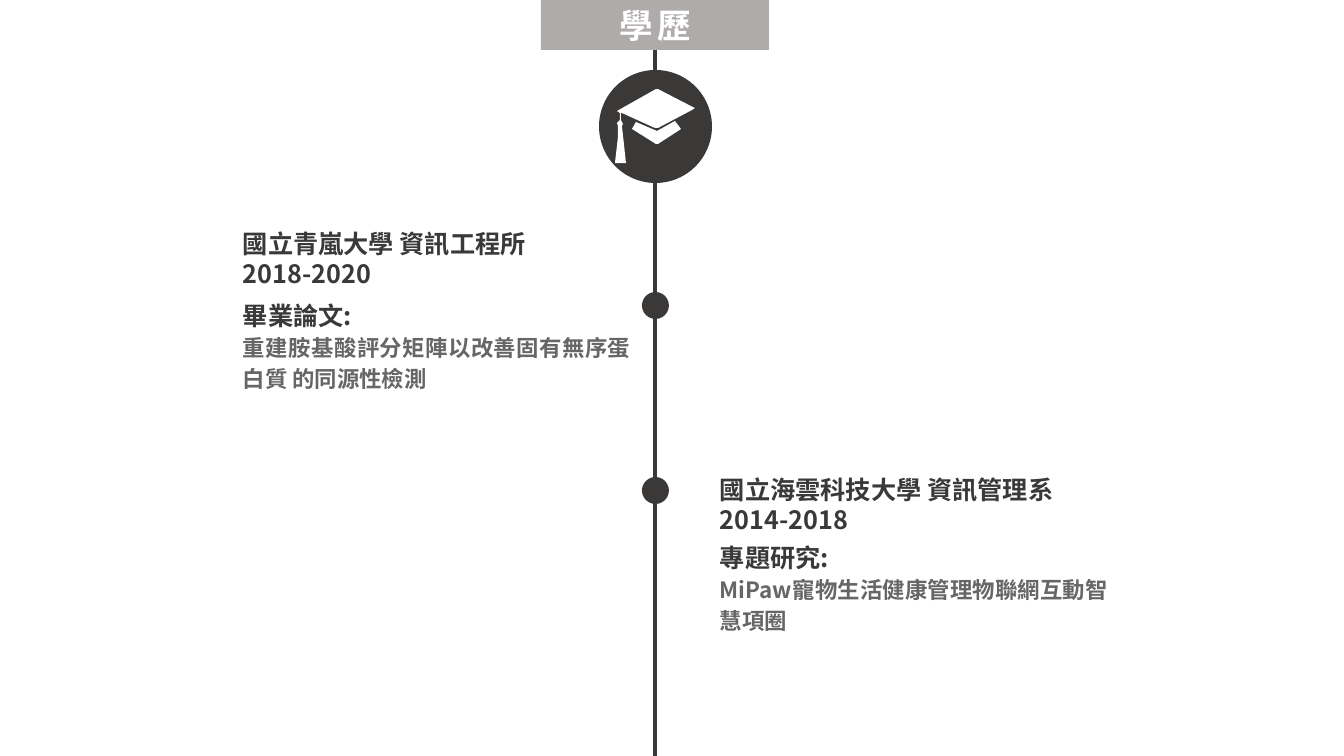
"""Build the education timeline slide."""
import lxml.etree
import pptx
import pptx.dml.color
import pptx.enum.shapes
import pptx.enum.text
import pptx.oxml.ns
import pptx.util

PX = 914400 / 100.8
FONT = "Noto Sans CJK SC"
DARK, GREY, WHITE = "3B3838", "666666", "FFFFFF"
SHAPE = pptx.enum.shapes.MSO_SHAPE
ALIGN = pptx.enum.text.PP_ALIGN
GROW = pptx.enum.text.MSO_AUTO_SIZE.SHAPE_TO_FIT_TEXT
rgb = pptx.dml.color.RGBColor.from_string
qn = pptx.oxml.ns.qn


def paint(sp, color):
    sp.shadow.inherit = False
    sp.fill.solid()
    sp.fill.fore_color.rgb = rgb(color)
    sp.line.fill.background()


def style(p, size, color):
    r = p.runs[0]
    r.font.size = pptx.util.Pt(size)
    r.font.bold = True
    r.font.name = FONT
    r.font.color.rgb = rgb(color)
    rPr = r._r.get_or_add_rPr()
    lxml.etree.SubElement(rPr, qn("a:ea")).set("typeface", FONT)
    return rPr


prs = pptx.Presentation()
prs.slide_width, prs.slide_height = round(1344 * PX), round(756 * PX)
s = prs.slides.add_slide(prs.slide_layouts[6])

line = s.shapes.add_connector(
    pptx.enum.shapes.MSO_CONNECTOR.STRAIGHT,
    *[round(v * PX) for v in (655, 40, 655, 756)])
line.line.color.rgb = rgb(DARK)
line.line.width = pptx.util.Pt(2.25)
lxml.etree.SubElement(line._element.spPr, qn("a:effectLst"))

banner = s.shapes.add_shape(SHAPE.RECTANGLE, *[round(v * PX) for v in (541, 0, 228, 50)])
paint(banner, "AFABAB")
tf = banner.text_frame
tf.word_wrap = True
tf.auto_size = GROW
p = tf.paragraphs[0]
p.text = "學歷"
p.alignment = ALIGN.CENTER
style(p, 24, WHITE).set("spc", "300")

icon = s.shapes.add_group_shape()
for shapes, x, y, d in [(icon.shapes, 599, 70, 113),
                        (s.shapes, 642, 292, 27),
                        (s.shapes, 642, 477, 27)]:
    sp = shapes.add_shape(SHAPE.OVAL, *[round(v * PX) for v in (x, y, d, d)])
    paint(sp, DARK)

cap = [(621, 113), (621, 120), (623, 124), (622, 126), (624, 144), (626, 163),
       (615, 163), (618, 137), (618, 126), (617, 123), (620, 120), (620, 113),
       (617, 111), (656, 89), (658, 89), (689, 105), (695, 108), (692, 110),
       (658, 128), (655, 128), (622, 113)]
band = [(632, 129), (636, 122), (657, 131), (675, 121), (681, 129), (675, 133),
        (658, 144), (656, 144)]
for points in (cap, band):
    fb = icon.shapes.build_freeform(*points[0], scale=PX)
    fb.add_line_segments(points[1:], close=True)
    paint(fb.convert_to_shape(), WHITE)

HEAD, BODY = (18, DARK), (16, GREY)
entries = [
    (710, 537, 408, 101, [("專題研究:", HEAD),
                          ("MiPaw寵物生活健康管理物聯網互動智慧項圈", BODY)]),
    (710, 469, 368, 72, [("國立海雲科技大學 資訊管理系", HEAD), ("2014-2018", HEAD)]),
    (233, 295, 408, 101, [("畢業論文:", HEAD),
                          ("重建胺基酸評分矩陣以改善固有無序蛋白質 的同源性檢測", BODY)]),
    (233, 223, 452, 72, [("國立青嵐大學 資訊工程所", HEAD), ("2018-2020", HEAD)]),
]
for *box, rows in entries:
    tf = s.shapes.add_textbox(*[round(v * PX) for v in box]).text_frame
    tf.word_wrap = True
    tf.auto_size = GROW
    tf.text = "\n".join(text for text, look in rows)
    for p, (text, look) in zip(tf.paragraphs, rows):
        style(p, *look)
        if look == BODY:
            p.alignment = ALIGN.JUSTIFY
            p.line_spacing = pptx.util.Pt(22)

prs.save("out.pptx")
